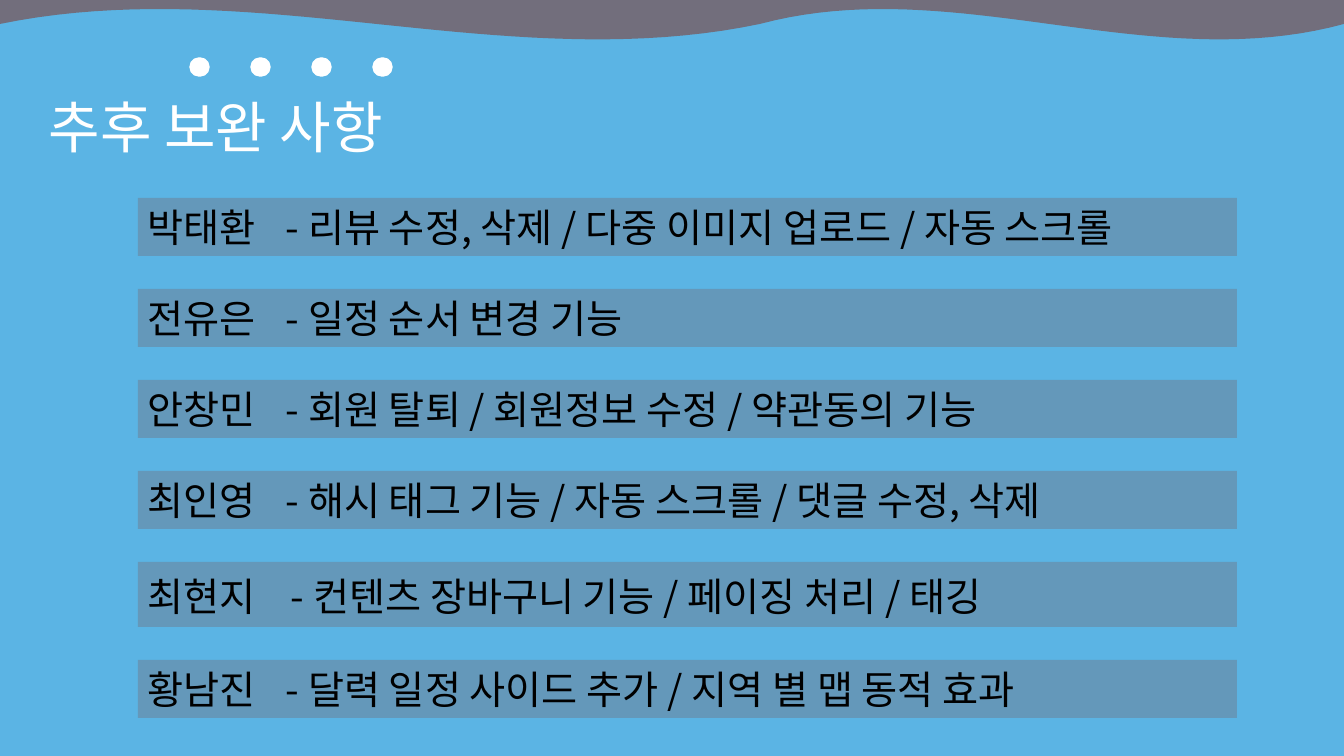
"""Build the slide that lists each member's planned improvements."""
from lxml import etree
from pptx import Presentation, util as u
from pptx.dml.color import RGBColor
from pptx.enum import shapes, text
from pptx.oxml import ns

PX = 12192000 / 1344
SKY = RGBColor(0x5B, 0xB4, 0xE4)
SLATE = RGBColor(0x72, 0x6E, 0x7C)
WHITE = RGBColor(0xFF, 0xFF, 0xFF)
BLACK = RGBColor(0, 0, 0)
FONT = "Noto Sans CJK KR"


def px(*lengths):
    """Turn pixel lengths into EMU."""
    return [u.Emu(round(length * PX)) for length in lengths]


def add_span(para, words, size, color):
    """Add a run whose Latin and Korean glyphs share one font."""
    span = para.add_run()
    span.text = words
    for name, value in {"name": FONT, "size": u.Pt(size)}.items():
        setattr(span.font, name, value)
    span.font.color.rgb = color
    etree.SubElement(span.font._element, ns.qn("a:ea"), typeface=FONT)


deck = Presentation()
deck.slide_width, deck.slide_height = px(1344, 756)
page = deck.slides.add_slide(deck.slide_layouts[6])
page.background.fill.solid()
page.background.fill.fore_color.rgb = SKY

STEPS = 40
wave_points = []
for right, left in ((1344, 760), (760, 0)):
    for step in range(STEPS + 1):
        t = step / STEPS
        x = right + (left - right) * t
        y = 24 + 159 * t * (1 - t) ** 2 - 156 * t ** 2 * (1 - t)
        wave_points.append(px(x, y))
builder = page.shapes.build_freeform(*px(1344, 0), scale=1.0)
builder.add_line_segments(wave_points + [px(0, 0)], close=True)
wave = builder.convert_to_shape()
wave.shadow.inherit = False
wave.fill.solid()
wave.fill.fore_color.rgb = SLATE
wave.line.fill.background()

title = page.shapes.add_textbox(*px(39, 88, 974, 78))
title.text_frame.word_wrap = True
title.text_frame.auto_size = text.MSO_AUTO_SIZE.SHAPE_TO_FIT_TEXT
add_span(title.text_frame.paragraphs[0], "추후 보완 사항", 40, WHITE)

for column in range(4):
    dot = page.shapes.add_shape(
        shapes.MSO_SHAPE.ROUNDED_RECTANGLE, *px(190 + 61 * column, 58, 19, 18))
    dot.adjustments[0] = 0.5
    dot.shadow.inherit = False
    dot.fill.solid()
    dot.fill.fore_color.rgb = WHITE
    dot.line.color.rgb = WHITE
    dot.line.width = u.Pt(1)

GAP = 33
tasks = [
    ("박태환", "- 리뷰 수정, 삭제 / 다중 이미지 업로드 / 자동 스크롤", 28, 58, 138),
    ("전유은", "- 일정 순서 변경 기능", 28, 58, 138),
    ("안창민", "- 회원 탈퇴 / 회원정보 수정 / 약관동의 기능", 28, 58, 138),
    ("최인영", "- 해시 태그 기능 / 자동 스크롤 / 댓글 수정, 삭제", 28, 58, 138),
    ("최현지", "- 컨텐츠 장바구니 기능 / 페이징 처리 / 태깅", 32, 65, 143),
    ("황남진", "- 달력 일정 사이드 추가 / 지역 별 맵 동적 효과", 28, 58, 138),
]
top = 198
for member, plan, gap_size, height, tab in tasks:
    box = page.shapes.add_shape(
        shapes.MSO_SHAPE.RECTANGLE, *px(138, top, 1099, height))
    box.shadow.inherit = False
    box.fill.solid()
    box.fill.fore_color.rgb = SLATE
    tint = box._element.spPr.find(".//" + ns.qn("a:srgbClr"))
    etree.SubElement(tint, ns.qn("a:alpha"), val="40000")
    box.line.fill.background()
    frame_format = {
        "word_wrap": True,
        "auto_size": text.MSO_AUTO_SIZE.SHAPE_TO_FIT_TEXT,
        "vertical_anchor": text.MSO_ANCHOR.TOP,
    }
    for name, value in frame_format.items():
        setattr(box.text_frame, name, value)
    para = box.text_frame.paragraphs[0]
    para.alignment = text.PP_ALIGN.LEFT
    tabs = etree.SubElement(para._p.get_or_add_pPr(), ns.qn("a:tabLst"))
    etree.SubElement(tabs, ns.qn("a:tab"), pos=str(px(tab)[0]), algn="l")
    for words, size in ((member, 28), ("\t", gap_size), (plan, 28)):
        add_span(para, words, size, BLACK)
    top += height + GAP

deck.save("out.pptx")
